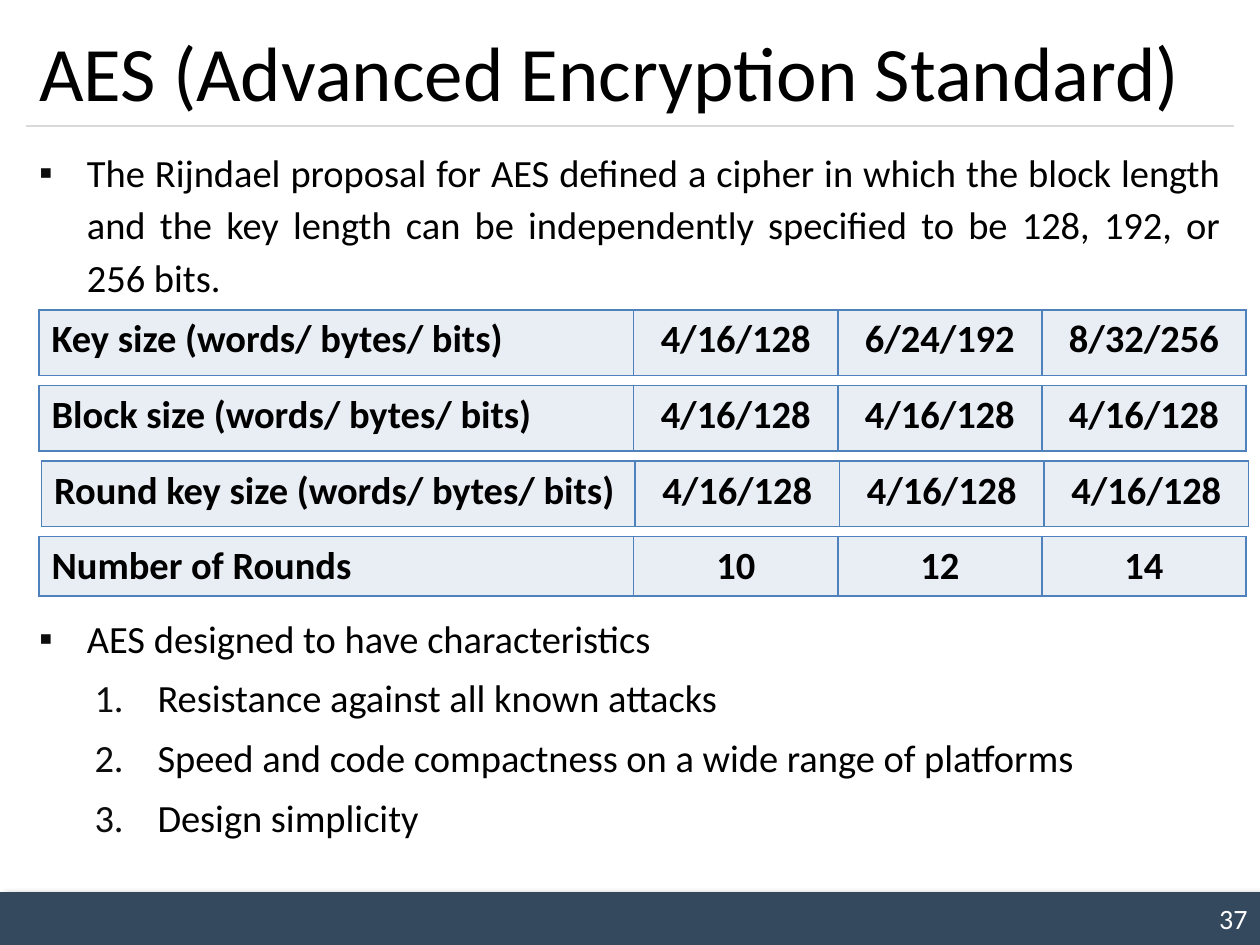
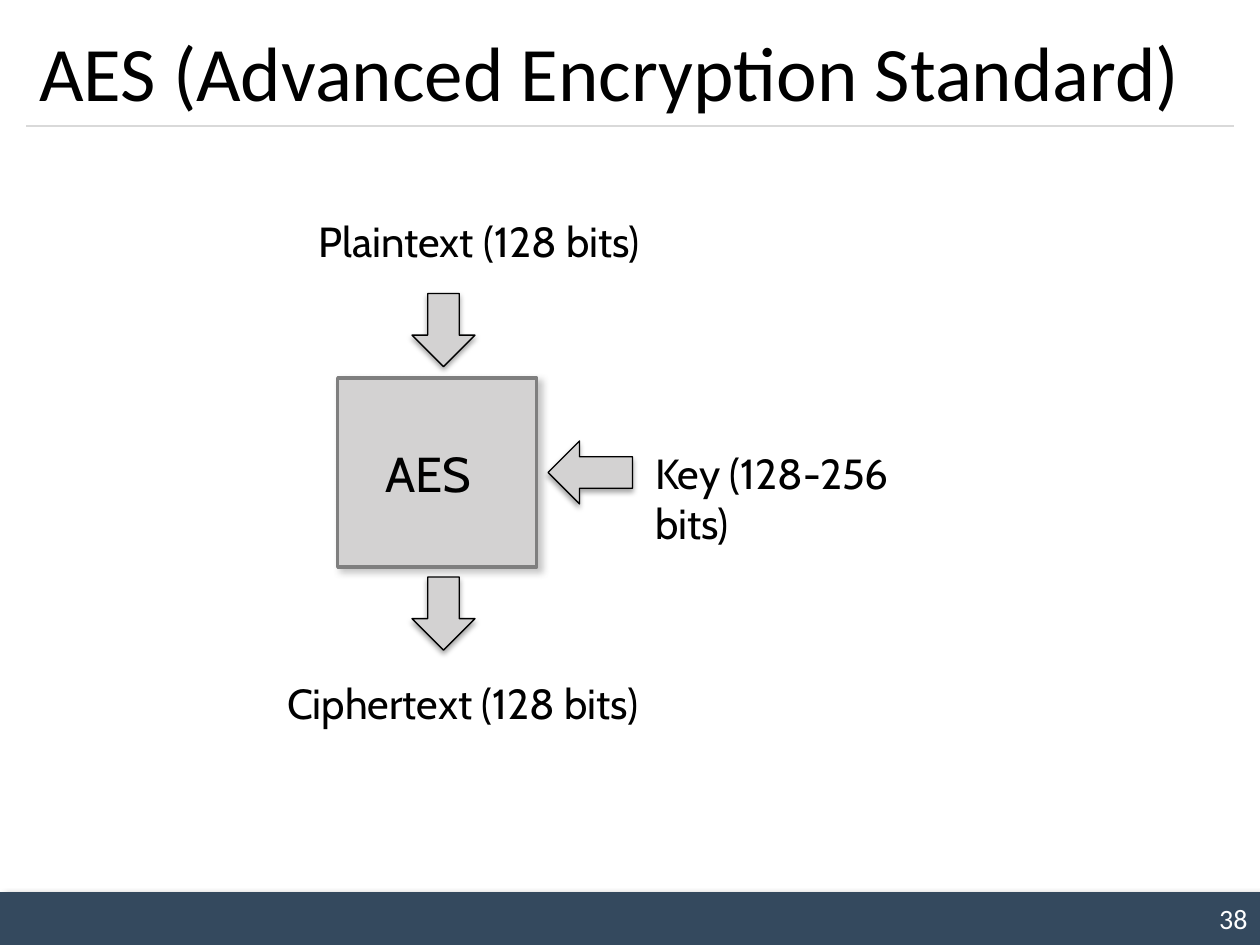
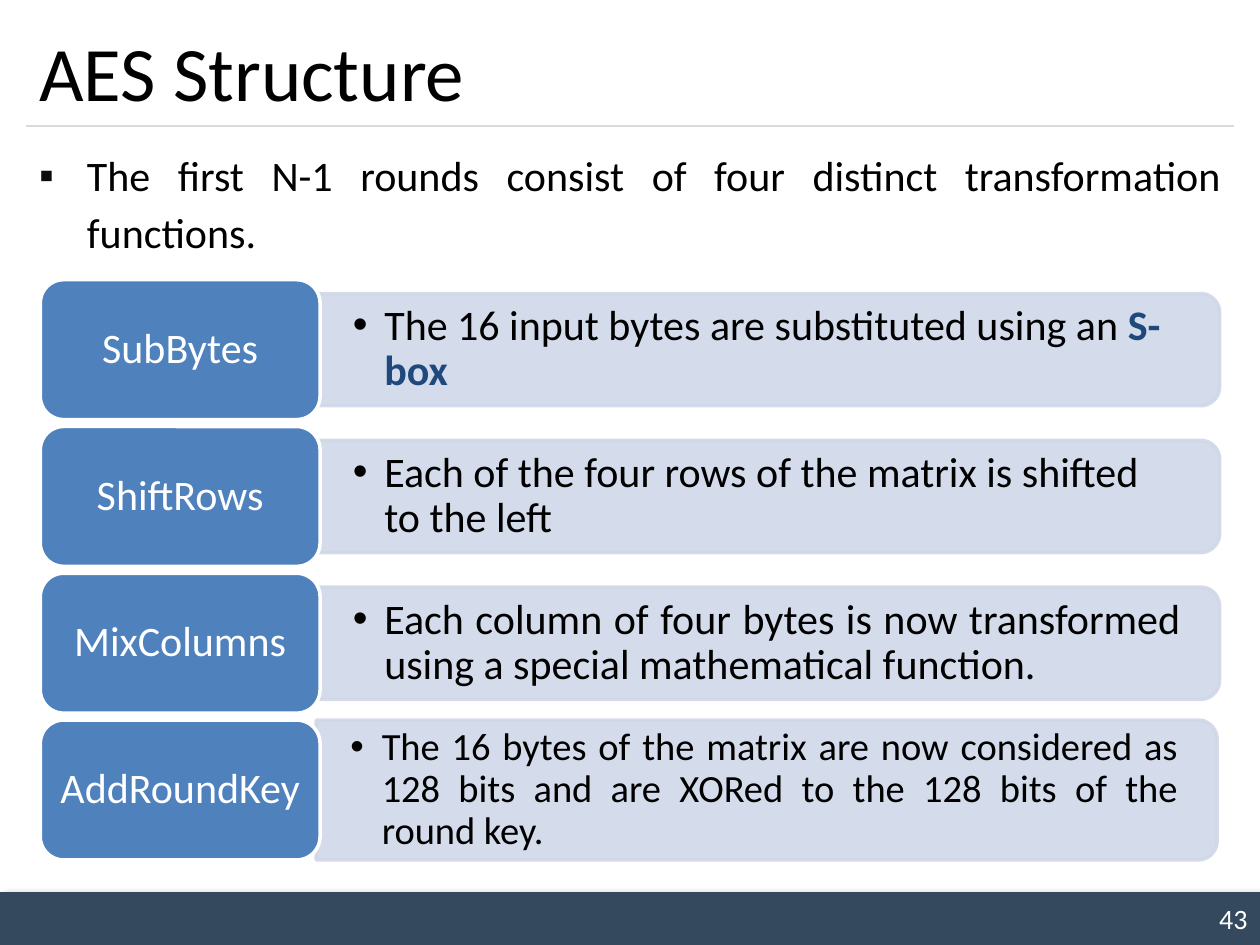
import math

from lxml import etree
from pptx import Presentation
from pptx.dml.color import RGBColor
from pptx.enum.shapes import MSO_CONNECTOR, MSO_SHAPE
from pptx.enum.text import MSO_ANCHOR, MSO_AUTO_SIZE, PP_ALIGN
from pptx.oxml.ns import qn
from pptx.util import Inches, Pt

LEFT, CENTER, RIGHT, JUSTIFY = PP_ALIGN.LEFT, PP_ALIGN.CENTER, PP_ALIGN.RIGHT, PP_ALIGN.JUSTIFY
MIDDLE = MSO_ANCHOR.MIDDLE
DOWN, TO_LEFT = MSO_SHAPE.DOWN_ARROW, MSO_SHAPE.LEFT_ARROW

BLACK = RGBColor(0x00, 0x00, 0x00)
WHITE = RGBColor(0xFF, 0xFF, 0xFF)
NAVY = RGBColor(0x34, 0x49, 0x5E)
RULE_GREY = RGBColor(0xD9, 0xD9, 0xD9)
BULLET_GREY = RGBColor(0x0D, 0x0D, 0x0D)
BLUE = RGBColor(0x4F, 0x81, 0xBD)
DARK_BLUE = RGBColor(0x1F, 0x49, 0x7D)
CELL_BLUE = RGBColor(0xE9, 0xED, 0xF4)
PALE_BLUE = RGBColor(0xD0, 0xD8, 0xE8)
BOX_GREY = RGBColor(0xD3, 0xD2, 0xD2)
EDGE_GREY = RGBColor(0x7F, 0x7F, 0x7F)
SHADOW_GREY = RGBColor(0x80, 0x80, 0x80)

MAIN_FONT, DIAGRAM_FONT = "Calibri", "Cabin"
PAGE_W, PAGE_H = 10, 7.5
MARGIN, RULE_Y, FOOTER_H = 0.21, 1, 0.42
CONTENT_W = PAGE_W - 2 * MARGIN
BODY_TOP = 1.08

# Content
AES_TITLE = "AES (Advanced Encryption Standard)"
PROPOSAL = ("The Rijndael proposal for AES defined a cipher in which the block length and the "
            "key length can be independently specified to be 128, 192, or 256 bits.")
GOALS_INTRO = "AES designed to have characteristics"
GOALS = ["Resistance against all known attacks",
         "Speed and code compactness on a wide range of platforms",
         "Design simplicity"]
# left, height, label column, cells
PARAMETERS = [
    (0.31, 0.52, 4.72, ["Key size (words/ bytes/ bits)", "4/16/128", "6/24/192", "8/32/256"]),
    (0.31, 0.52, 4.72, ["Block size (words/ bytes/ bits)", "4/16/128", "4/16/128", "4/16/128"]),
    (0.33, 0.52, 4.71, ["Round key size (words/ bytes/ bits)", "4/16/128", "4/16/128", "4/16/128"]),
    (0.31, 0.47, 4.72, ["Number of Rounds", "10", "12", "14"]),
]
TABLE_TOP, TABLE_STEP, TABLE_W = 2.46, 0.6, 9.58

CIPHER_BOX = (2.68, 3, 1.58, 1.5)
CIPHER_LABELS = [("Plaintext (128 bits)", (2.43, 1.66, 2.78, 0.51)),
                 ("Ciphertext (128 bits)", (2.18, 5.33, 3.1, 0.51)),
                 ("Key (128-256 bits)", (5.1, 3.5, 2.71, 0.51))]
CIPHER_ARROWS = [(DOWN, (3.27, 2.33, 0.5, 0.58)),
                 (DOWN, (3.27, 4.58, 0.5, 0.58)),
                 (TO_LEFT, (4.35, 3.5, 0.67, 0.5))]

ROUNDS_INTRO = "The first N-1 rounds consist of four distinct transformation functions."
# name, description, emphasised ending, size, alignment, left, height
STEPS = [
    ("SubBytes", "The 16 input bytes are substituted using an ", "S-box", 24, LEFT, 2.53, 0.89),
    ("ShiftRows", "Each of the four rows of the matrix is shifted to the left", "",
     24, LEFT, 2.53, 0.89),
    ("MixColumns", "Each column of four bytes is now transformed using a special "
     "mathematical function.", "", 24, JUSTIFY, 2.53, 0.89),
    ("AddRoundKey", "The 16 bytes of the matrix are now considered as 128 bits and are XORed "
     "to the 128 bits of the round key.", "", 22, JUSTIFY, 2.51, 1.11),
]
STEP_TOP, STEP_PITCH, STEP_W, STEP_H = 2.22, 1.165, 2.22, 1.11
DETAIL_W, DETAIL_RADIUS = 7.15, 0.15


def inches(values):
    return [Inches(v) for v in values]


def place(shape, box):
    shape.left, shape.top, shape.width, shape.height = inches(box)


def add_run(paragraph, text, size, color=BLACK, font=MAIN_FONT, bold=False):
    run = paragraph.add_run()
    run.text = text
    run.font.size, run.font.name, run.font.bold = Pt(size), font, bold
    run.font.color.rgb = color


def set_insets(frame, left, top, right, bottom):
    frame.margin_left, frame.margin_top, frame.margin_right, frame.margin_bottom = inches(
        (left, top, right, bottom))


def set_bullet(paragraph, left, hanging, mark, color):
    """Give a hanging bullet; a mark of None numbers the paragraph instead."""
    props = paragraph._p.get_or_add_pPr()
    props.set("marL", str(Inches(left)))
    props.set("indent", str(-Inches(hanging)))
    etree.SubElement(etree.SubElement(props, qn("a:buClr")), qn("a:srgbClr"), val=str(color))
    if mark:
        etree.SubElement(props, qn("a:buFont"), typeface="Arial")
        etree.SubElement(props, qn("a:buChar"), char=mark)
    else:
        etree.SubElement(props, qn("a:buFont"), typeface="+mj-lt")
        etree.SubElement(props, qn("a:buAutoNum"), type="arabicPeriod")


def style(shape, fill, line=None, width=0.75, shadow=None):
    """Set fill, outline and shadow (colour, opacity %, blur pt, distance pt, angle)."""
    shape.fill.solid()
    shape.fill.fore_color.rgb = fill
    if line is None:
        shape.line.fill.background()
    else:
        shape.line.color.rgb = line
        shape.line.width = Pt(width)
    shape.shadow.inherit = False
    if shadow:
        color, opacity, blur, distance, angle = shadow
        effects = shape._element.spPr.find(qn("a:effectLst"))
        outer = etree.SubElement(effects, qn("a:outerShdw"), blurRad=str(Pt(blur)),
                                 dist=str(Pt(distance)), dir=str(angle * 60000),
                                 algn="ctr", rotWithShape="0")
        tone = etree.SubElement(outer, qn("a:srgbClr"), val=str(color))
        etree.SubElement(tone, qn("a:alpha"), val=str(opacity * 1000))


def add_page(prs, layout, title, number):
    slide = prs.slides.add_slide(prs.slide_layouts[layout])
    place(slide.shapes.title, (MARGIN, 0.12, CONTENT_W, 0.88))
    frame = slide.shapes.title.text_frame
    frame.auto_size, frame.vertical_anchor = MSO_AUTO_SIZE.NONE, MIDDLE
    frame.paragraphs[0].alignment = LEFT
    add_run(frame.paragraphs[0], title, 44)

    footer = slide.shapes.add_shape(
        MSO_SHAPE.RECTANGLE, *inches((0, PAGE_H - FOOTER_H, PAGE_W, FOOTER_H)))
    style(footer, NAVY, shadow=(BLACK, 40, 4, 3, 45))
    footer.text_frame.vertical_anchor = MIDDLE
    footer.text_frame.paragraphs[0].alignment = RIGHT
    add_run(footer.text_frame.paragraphs[0], str(number), 16, WHITE)

    rule = slide.shapes.add_connector(
        MSO_CONNECTOR.STRAIGHT, *inches((MARGIN, RULE_Y, PAGE_W - MARGIN, RULE_Y)))
    rule.line.color.rgb, rule.line.width = RULE_GREY, Pt(0.75)
    etree.SubElement(rule._element.spPr, qn("a:effectLst"))
    return slide


def fill_body(slide, height, size, items):
    """Write items of (text, level, space before) into the body placeholder."""
    body = slide.placeholders[1]
    place(body, (MARGIN, BODY_TOP, CONTENT_W, height))
    frame = body.text_frame
    frame.auto_size = MSO_AUTO_SIZE.NONE
    for i, (text, level, before) in enumerate(items):
        paragraph = frame.add_paragraph() if i else frame.paragraphs[0]
        paragraph.level, paragraph.alignment = level, JUSTIFY
        paragraph.line_spacing, paragraph.space_before = 1.14, Pt(before)
        left, hanging, mark = (0.94, 0.5, None) if level else (0.38, 0.38, "▪")
        set_bullet(paragraph, left, hanging, mark, BULLET_GREY)
        add_run(paragraph, text, size)


def add_border(cell):
    props = cell._tc.get_or_add_tcPr()
    for side in ("lnL", "lnR", "lnT", "lnB"):
        edge = etree.SubElement(props, qn("a:" + side), w=str(Pt(1)))
        etree.SubElement(etree.SubElement(edge, qn("a:solidFill")), qn("a:srgbClr"), val=str(BLUE))


def add_parameter_row(slide, top, left, height, label_w, texts):
    table = slide.shapes.add_table(
        1, len(texts), *inches((left, top, TABLE_W, height))).table
    table.first_row = table.horz_banding = False
    value_w = (TABLE_W - label_w) / (len(texts) - 1)
    for i, text in enumerate(texts):
        table.columns[i].width = Inches(value_w if i else label_w)
        cell = table.cell(0, i)
        add_border(cell)
        cell.fill.solid()
        cell.fill.fore_color.rgb = CELL_BLUE
        paragraph = cell.text_frame.paragraphs[0]
        paragraph.alignment = CENTER if i else LEFT
        add_run(paragraph, text, 22, bold=True)


def add_cipher_diagram(slide):
    box = slide.shapes.add_shape(MSO_SHAPE.RECTANGLE, *inches(CIPHER_BOX))
    style(box, BOX_GREY, EDGE_GREY, 2, (SHADOW_GREY, 43, 4, 3, 45))
    set_insets(box.text_frame, 0.38, 0.05, 0.1, 0.05)
    box.text_frame.vertical_anchor = MIDDLE
    box.text_frame.paragraphs[0].alignment = LEFT
    add_run(box.text_frame.paragraphs[0], "AES", 28, font=DIAGRAM_FONT)
    for text, area in CIPHER_LABELS:
        label = slide.shapes.add_textbox(*inches(area))
        label.text_frame.word_wrap = False
        add_run(label.text_frame.paragraphs[0], text, 24, font=DIAGRAM_FONT)
    for kind, area in CIPHER_ARROWS:
        arrow = slide.shapes.add_shape(kind, *inches(area))
        style(arrow, BOX_GREY, BLACK, 0.75, (BLACK, 35, 3.1, 1.8, 90))


def add_detail_panel(slide, left, top, height):
    """Draw a panel with square left and rounded right corners."""
    right, bottom, r = left + DETAIL_W, top + height, DETAIL_RADIUS
    points = [(left, top)]
    for center_y, start in ((top + r, -90), (bottom - r, 0)):
        for angle in range(start, start + 91, 10):
            turn = math.radians(angle)
            points.append((right - r + r * math.cos(turn), center_y + r * math.sin(turn)))
    points.append((left, bottom))
    outline = [tuple(inches(point)) for point in points]
    builder = slide.shapes.build_freeform(*outline[0])
    builder.add_line_segments(outline[1:], close=True)
    panel = builder.convert_to_shape()
    style(panel, PALE_BLUE, PALE_BLUE, 2)
    for tone in panel._element.spPr.iter(qn("a:srgbClr")):
        etree.SubElement(tone, qn("a:alpha"), val="90000")
    return panel


def add_step(slide, top, name, text, emphasis, size, alignment, left, height):
    panel = add_detail_panel(slide, left, top + (STEP_H - height) / 2, height)
    frame = panel.text_frame
    frame.word_wrap, frame.vertical_anchor = True, MIDDLE
    set_insets(frame, 0.27, 0.18, 0.31, 0.18)
    paragraph = frame.paragraphs[0]
    paragraph.alignment, paragraph.line_spacing = alignment, 0.9
    set_bullet(paragraph, 0.25, 0.25, "•", BLACK)
    add_run(paragraph, text, size)
    if emphasis:
        add_run(paragraph, emphasis, size, DARK_BLUE, bold=True)

    tab = slide.shapes.add_shape(
        MSO_SHAPE.ROUNDED_RECTANGLE, *inches((0.32, top, STEP_W, STEP_H)))
    style(tab, BLUE, WHITE, 2)
    tab.text_frame.vertical_anchor = MIDDLE
    set_insets(tab.text_frame, 0.1, 0.1, 0.1, 0.1)
    heading = tab.text_frame.paragraphs[0]
    heading.alignment, heading.line_spacing = CENTER, 0.9
    add_run(heading, name, 24, WHITE)


def main():
    prs = Presentation()
    prs.slide_width, prs.slide_height = inches((PAGE_W, PAGE_H))

    overview = add_page(prs, 1, AES_TITLE, 37)
    fill_body(overview, 5.83, 22, [(PROPOSAL, 0, 4), (GOALS_INTRO, 0, 176)]
              + [(goal, 1, 4) for goal in GOALS])
    for i, row in enumerate(PARAMETERS):
        add_parameter_row(overview, TABLE_TOP + i * TABLE_STEP, *row)

    add_cipher_diagram(add_page(prs, 5, AES_TITLE, 38))

    structure = add_page(prs, 1, "AES Structure", 43)
    fill_body(structure, 1.02, 24, [(ROUNDS_INTRO, 0, 4)])
    for i, step in enumerate(STEPS):
        add_step(structure, STEP_TOP + i * STEP_PITCH, *step)

    prs.save("out.pptx")


if __name__ == "__main__":
    main()
